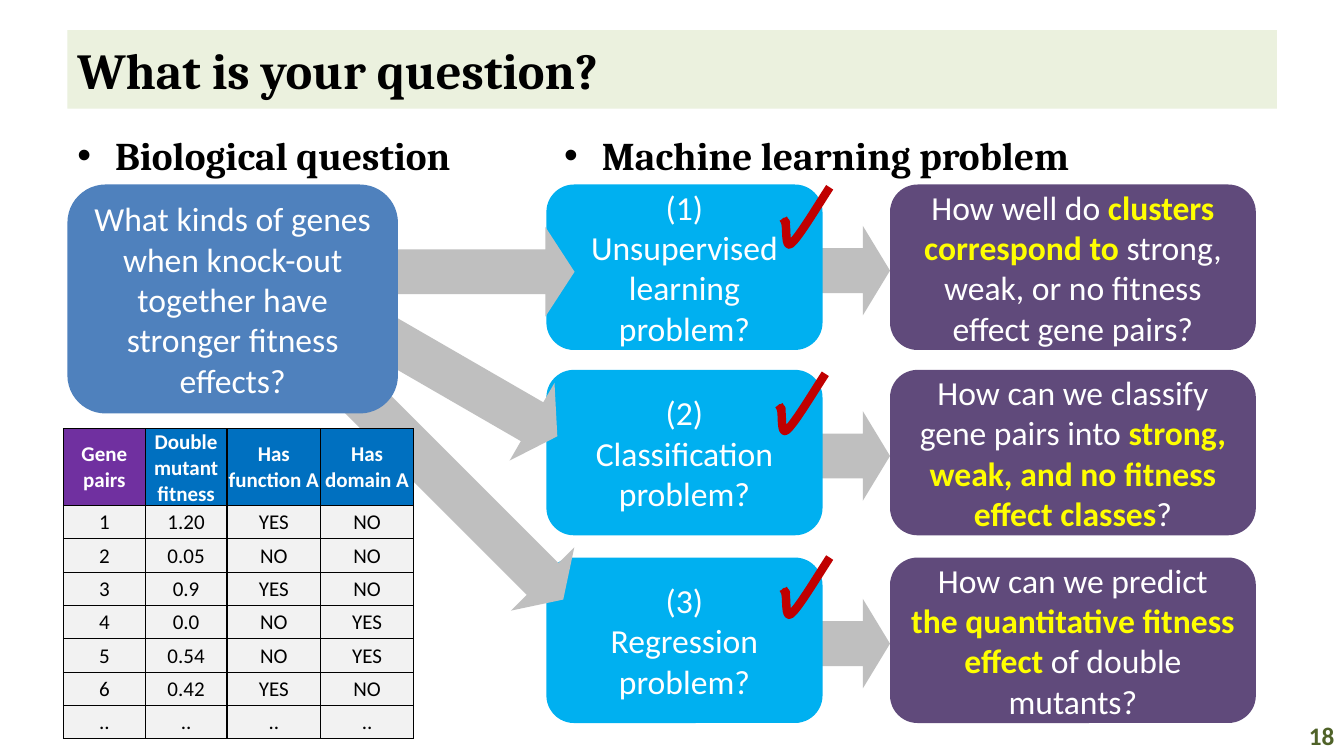
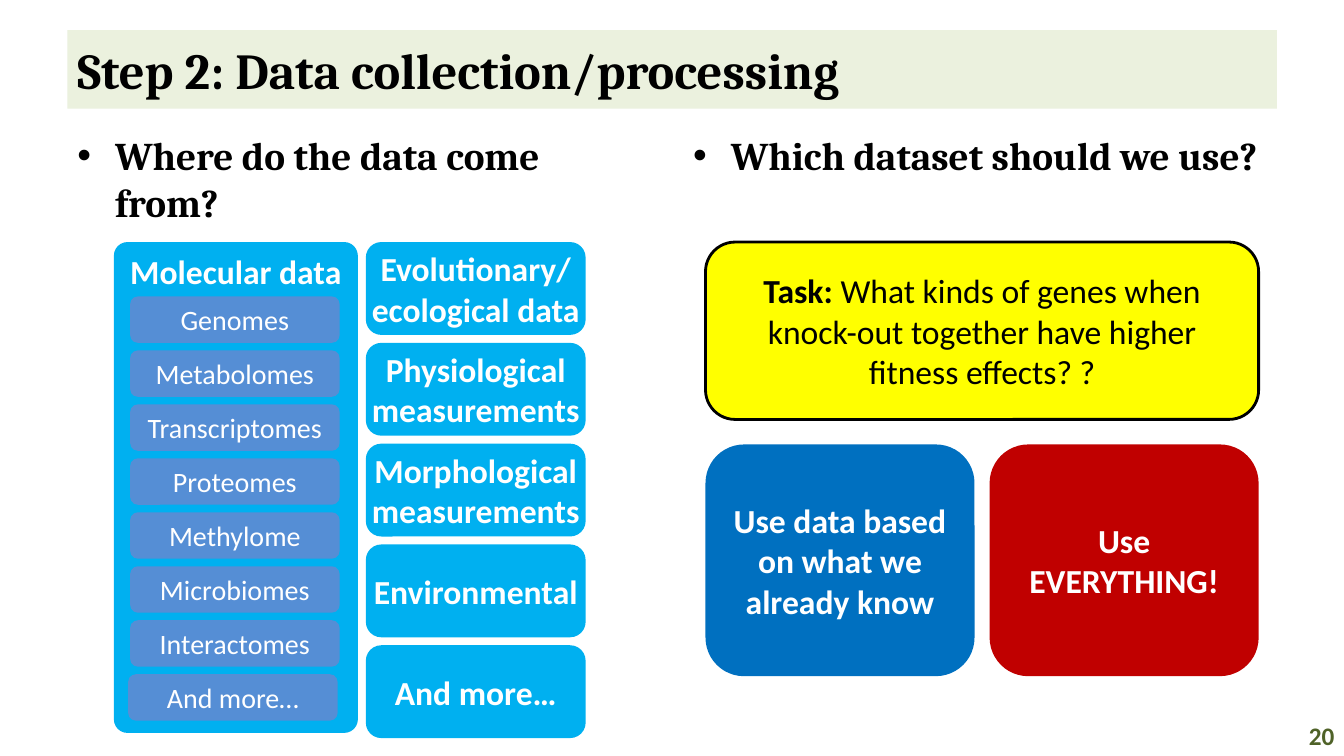
from dataclasses import dataclass
from lxml.etree import SubElement
from pptx import Presentation
from pptx.dml.color import RGBColor
from pptx.enum.shapes import MSO_SHAPE
from pptx.enum.text import MSO_ANCHOR, PP_ALIGN
from pptx.oxml.ns import qn
from pptx.util import Cm, Pt


@dataclass(frozen=True)
class Theme:
    # Colours
    black: str = "000000"
    white: str = "FFFFFF"
    band: str = "EBF1DE"
    olive: str = "4F6228"
    sky: str = "00B0F0"
    steel: str = "4F81BD"
    soft: str = "558ED5"
    blue: str = "0070C0"
    plum: str = "604A7B"
    violet: str = "7030A0"
    red: str = "C00000"
    yellow: str = "FFFF00"
    grey: str = "BFBFBF"
    pale: str = "F2F2F2"
    # Fonts and type sizes
    serif: str = "Cambria"
    sans: str = "Calibri"
    title: int = 36
    head: int = 28
    text: int = 24
    item: int = 20
    page: int = 18
    cell: int = 15


T = Theme()
HOT = {"bold": True, "color": T.yellow}
STRONG = {"bold": True}


# Text
def style(font, form):
    for name, value in form.items():
        if name == "color":
            font.color.rgb = RGBColor.from_string(value)
        elif name == "size":
            font.size = Pt(value)
        else:
            setattr(font, name, value)


def write(frame, paras, align=PP_ALIGN.CENTER, **form):
    """Each paragraph is a string or a list of (text, format) runs."""
    base = {"name": T.sans, "size": T.text, "color": T.white, "bold": False}
    for i, para in enumerate(paras):
        line = frame.paragraphs[0] if i == 0 else frame.add_paragraph()
        line.alignment = align
        runs = [(para, {})] if isinstance(para, str) else para
        for words, extra in runs:
            run = line.add_run()
            run.text = words
            style(run.font, {**base, **form, **extra})


def label(slide, at, words, anchor=MSO_ANCHOR.TOP, **form):
    frame = slide.shapes.add_textbox(*map(Cm, at)).text_frame
    frame.word_wrap = True
    frame.vertical_anchor = anchor
    write(frame, [words], **form)
    return frame


def bullet(slide, left, words, width=14.96, height=14.86):
    frame = label(slide, (left, 3.18, width, height), words,
                  align=PP_ALIGN.LEFT, name=T.serif, size=T.head,
                  color=T.black, bold=True)
    props = frame.paragraphs[0]._p.get_or_add_pPr()
    props.set("marL", str(Cm(0.95)))
    props.set("indent", str(-Cm(0.95)))
    SubElement(props, qn("a:buFont")).set("typeface", "Arial")
    SubElement(props, qn("a:buChar")).set("char", "•")


# Shapes
def block(slide, kind, at, fill, edge=None, adjust=()):
    shape = slide.shapes.add_shape(kind, *map(Cm, at))
    shape.shadow.inherit = False
    shape.fill.solid()
    shape.fill.fore_color.rgb = RGBColor.from_string(fill)
    if edge:
        shape.line.color.rgb = RGBColor.from_string(edge)
        shape.line.width = Pt(2)
    else:
        shape.line.fill.background()
    for i, value in enumerate(adjust):
        shape.adjustments[i] = value
    return shape


def card(slide, at, fill, paras, wrap=True, anchor=MSO_ANCHOR.MIDDLE,
         edge=None, adjust=(), **form):
    shape = block(slide, MSO_SHAPE.ROUNDED_RECTANGLE, at, fill, edge, adjust)
    shape.text_frame.word_wrap = wrap
    shape.text_frame.vertical_anchor = anchor
    write(shape.text_frame, paras, **form)


def arrow(slide, left, top, width, turn=0):
    shape = block(slide, MSO_SHAPE.RIGHT_ARROW, (left, top, width, 2.26),
                  T.grey, adjust=(0.5, 0.325))
    shape.rotation = turn


def curve(points, steps=8):
    """Points along a chain of cubic curves."""
    path = [points[0]]
    for i in range(0, len(points) - 1, 3):
        ends = points[i:i + 4]
        for step in range(1, steps + 1):
            t = step / steps
            parts = ((1 - t) ** 3, 3 * t * (1 - t) ** 2,
                     3 * t * t * (1 - t), t ** 3)
            path.append(tuple(sum(k * p[axis] for k, p in zip(parts, ends))
                              for axis in (0, 1)))
    return path


def tick(slide, left, top):
    bends = [(0, 0.79), (0.13, 1.02), (0.03, 0.79), (0.05, 0.89),
             (0.1, 0.99), (0.03, 1.57), (0.2, 1.42),
             (0.38, 1.27), (0.76, 0.64), (1.17, 0)]
    path = [(Cm(left + x), Cm(top + y)) for x, y in curve(bends)]
    pen = slide.shapes.build_freeform(*path[0], scale=1.0)
    pen.add_line_segments(path[1:], close=False)
    shape = pen.convert_to_shape()
    shape.shadow.inherit = False
    shape.fill.background()
    shape.line.color.rgb = RGBColor.from_string(T.red)
    shape.line.width = Pt(6)


# Table
def rule(cell, widths):
    props = cell._tc.get_or_add_tcPr()
    for i, (side, width) in enumerate(zip("LRTB", widths)):
        line = SubElement(props, qn(f"a:ln{side}"), w=str(Pt(width)))
        fill = SubElement(line, qn("a:solidFill"))
        SubElement(fill, qn("a:srgbClr"), val=T.black)
        props.insert(i, line)


def grid(slide, left, top, cols, rows, data):
    size = Cm(sum(cols)), Cm(sum(rows))
    table = slide.shapes.add_table(len(rows), len(cols), Cm(left), Cm(top),
                                   *size).table
    table.first_row = table.horz_banding = False
    for col, width in zip(table.columns, cols):
        col.width = Cm(width)
    for row, height in zip(table.rows, rows):
        row.height = Cm(height)
    for r, line in enumerate(data):
        for c, words in enumerate(line):
            cell = table.cell(r, c)
            head = r == 0
            form = {"margin_left": Cm(0.03), "margin_right": Cm(0.03),
                    "margin_top": Cm(0.03), "margin_bottom": 0,
                    "vertical_anchor": MSO_ANCHOR.MIDDLE}
            for name, value in form.items():
                setattr(cell, name, value)
            tint = (T.blue if c else T.violet) if head else T.pale
            cell.fill.solid()
            cell.fill.fore_color.rgb = RGBColor.from_string(tint)
            thick = (c < 3, c < 2, r < 2, head)
            rule(cell, [1 if side else 0.5 for side in thick])
            write(cell.text_frame, words.split("\n"), size=T.cell, bold=head,
                  color=T.white if head else T.black)


# Parts that all slides share
def start(deck, title, page):
    slide = deck.slides.add_slide(deck.slide_layouts[6])
    band = block(slide, MSO_SHAPE.RECTANGLE, (1.7, 0.76, 30.48, 1.98), T.band)
    band.text_frame.vertical_anchor = MSO_ANCHOR.MIDDLE
    write(band.text_frame, [title], align=PP_ALIGN.LEFT, name=T.serif,
          size=T.title, color=T.black, bold=True)
    label(slide, (32.18, 18.03, 1.7, 1.02), page, MSO_ANCHOR.MIDDLE,
          align=PP_ALIGN.RIGHT, size=T.page, color=T.olive, bold=True)
    return slide


def ask(deck):
    slide = start(deck, "What is your question?", "18")
    bullet(slide, 1.7, "Biological question")
    bullet(slide, 13.97, "Machine learning problem", 18.21, 1.63)

    # Problems and the questions they lead to
    rows = [
        (4.65, ["(1)", "Unsupervised learning problem?"],
         [[("How well do ", {}), ("clusters correspond to ", HOT),
           ("strong, weak, or no fitness effect gene pairs?", {})]]),
        (9.32, ["(2)", "Classification problem?"],
         [[("How can we classify gene pairs into ", {}),
           ("strong, weak, and no fitness effect classes", HOT),
           ("?", {})]]),
        (14.05, ["(3)", "Regression", "problem?"],
         ["How can we predict",
          [("the quantitative fitness effect ", HOT),
           ("of double mutants?", {})]]),
    ]
    for top, problem, goal in rows:
        card(slide, (22.43, top, 9.22, 4.17), T.plum, goal)
        arrow(slide, 20.32, top + 1.04, 2.11)
        card(slide, (13.77, top, 6.96, 4.17), T.sky, problem)

    # Arrows from the biological question
    for spot in [(8.74, 5.72, 5.74), (8.69, 8.43, 5.74, 30),
                 (6.93, 10.97, 8.51, 45)]:
        arrow(slide, *spot)
    card(slide, (1.7, 4.65, 8.33, 5.77), T.steel,
         ["What kinds of genes when knock-out together have stronger "
          "fitness effects?"])

    # Sample data
    data = [
        ("Gene\npairs", "Double mutant fitness", "Has function A",
         "Has domain A"),
        ("1", "1.20", "YES", "NO"),
        ("2", "0.05", "NO", "NO"),
        ("3", "0.9", "YES", "NO"),
        ("4", "0.0", "NO", "YES"),
        ("5", "0.54", "NO", "YES"),
        ("6", "0.42", "YES", "NO"),
        ("..",) * 4,
    ]
    grid(slide, 1.6, 10.8, (2.06, 2.06, 2.36, 2.34), [1.7] + [0.84] * 7, data)

    for spot in [(19.74, 4.72), (19.63, 9.42), (19.74, 14.05)]:
        tick(slide, *spot)


def collect(deck):
    slide = start(deck, "Step 2: Data collection/processing", "20")
    bullet(slide, 1.7, "Where do the data come from?")
    bullet(slide, 17.22, "Which dataset should we use?")

    # Molecular data
    card(slide, (2.87, 6.1, 6.15, 12.37), T.sky, ["Molecular data"],
         wrap=False, anchor=MSO_ANCHOR.TOP, adjust=(0.056,), bold=True)
    items = ["Genomes", "Metabolomes", "Transcriptomes", "Proteomes",
             "Methylome", "Microbiomes", "Interactomes", "And more…"]
    for i, item in enumerate(items):
        left = 3.23 if item == items[-1] else 3.28
        card(slide, (left, 7.47 + 1.36 * i, 5.28, 1.17), T.soft, [item],
             wrap=False, size=T.item)

    # Other kinds of data
    kinds = [["Evolutionary/", "ecological data"],
             ["Physiological", "measurements"],
             ["Morphological", "measurements"],
             ["Environmental"], ["And more…"]]
    for i, kind in enumerate(kinds):
        card(slide, (9.22, 6.1 + 2.54 * i, 5.54, 2.34), T.sky, kind,
             wrap=False, bold=True)

    # Task and choices
    card(slide, (17.78, 6.1, 13.94, 4.47), T.yellow,
         [[("Task: ", STRONG),
           ("What kinds of genes when knock-out together have higher "
            "fitness effects? ?", {})]], edge=T.black, color=T.black)
    picks = [(T.blue, "Use data based on what we already know"),
             (T.red, "Use EVERYTHING!")]
    for i, (fill, words) in enumerate(picks):
        card(slide, (17.78 + 7.16 * i, 11.2, 6.78, 5.84), fill, [words],
             bold=True)


def main():
    deck = Presentation()
    deck.slide_width, deck.slide_height = Cm(33.87), Cm(19.05)
    ask(deck)
    collect(deck)
    deck.save("out.pptx")


if __name__ == "__main__":
    main()
